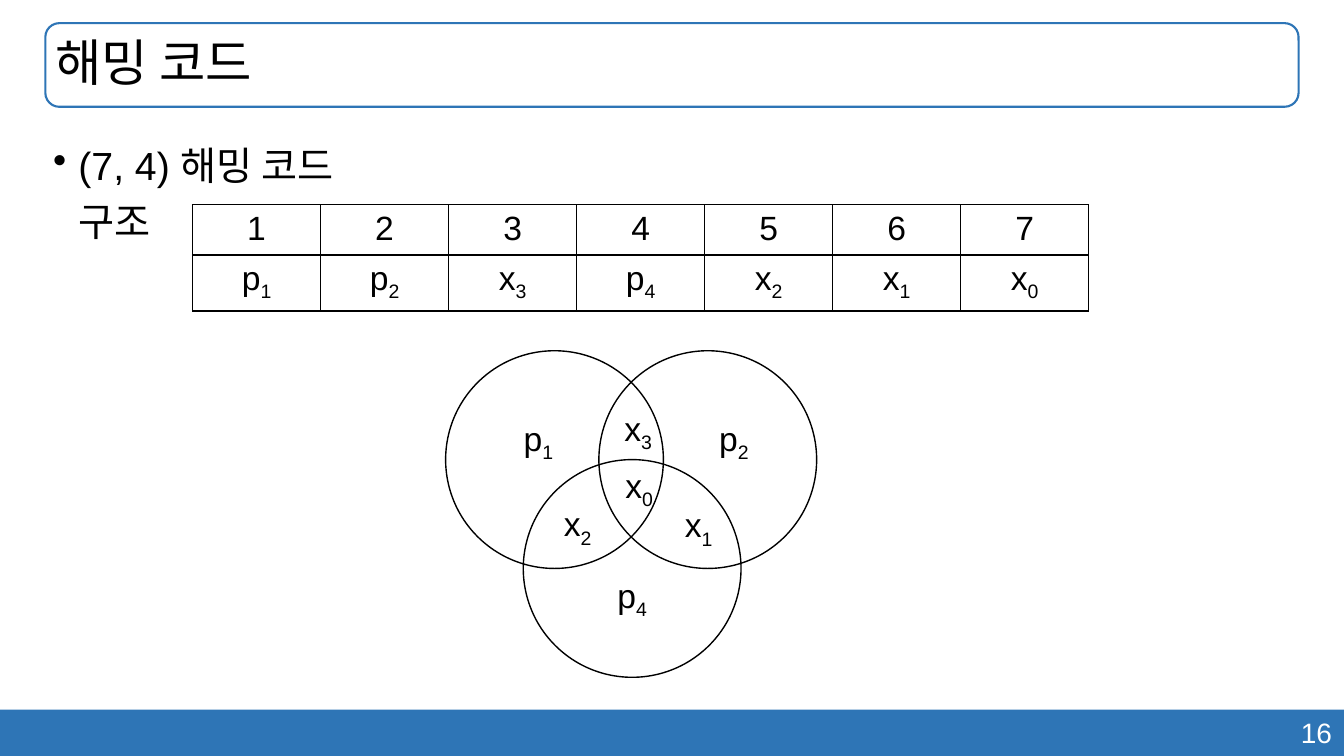
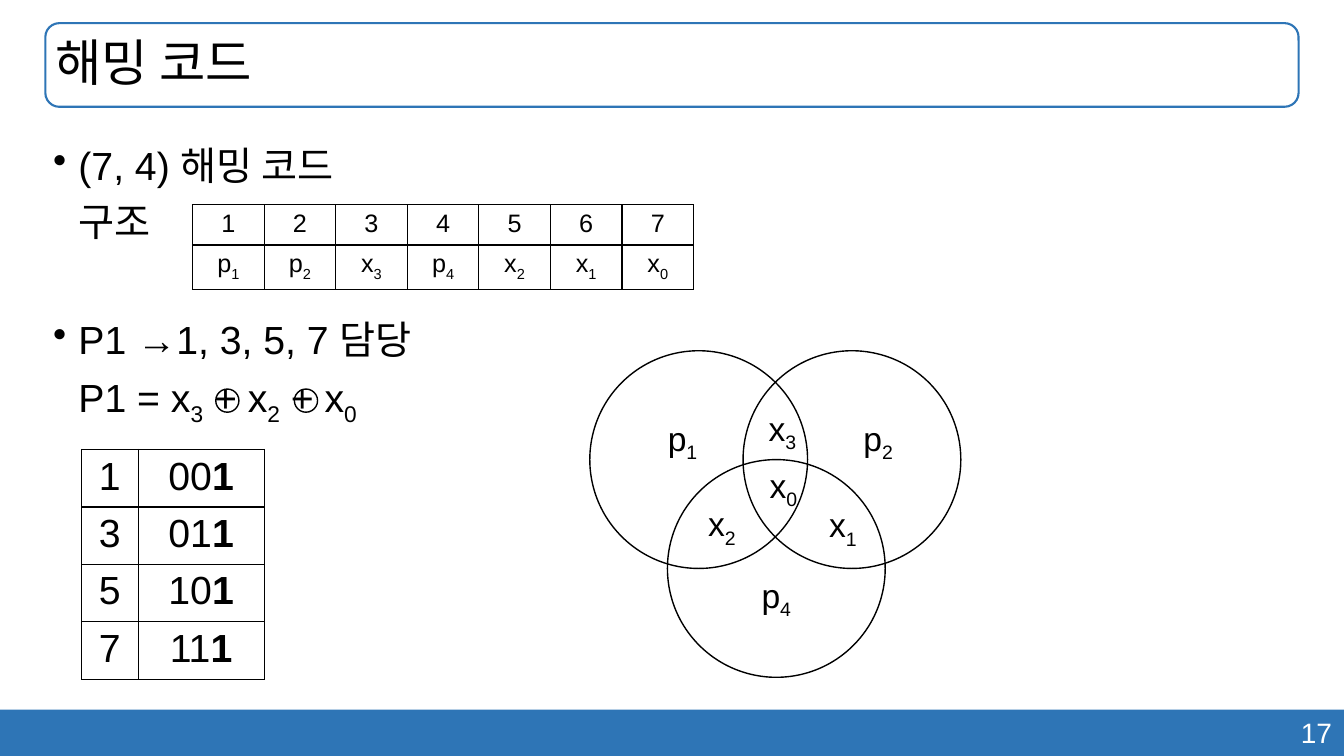
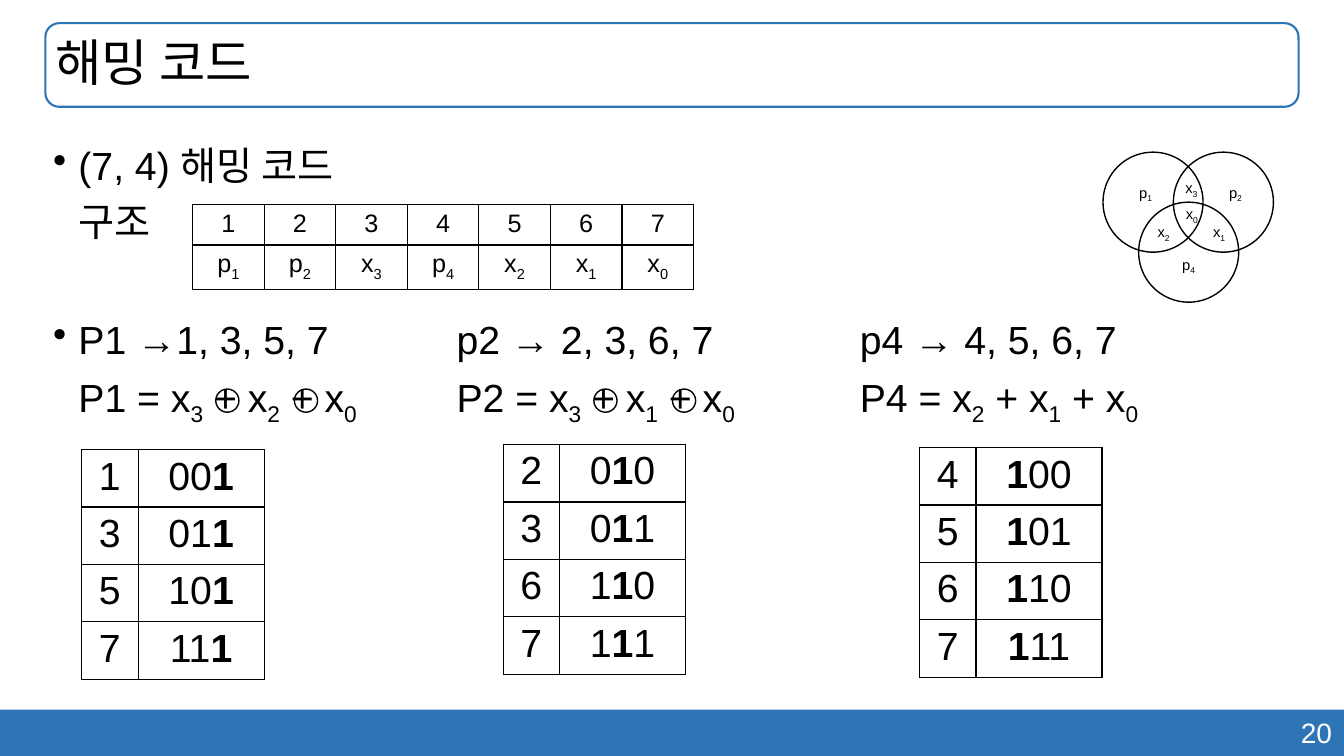
import pptx
import pptx.dml.color
import pptx.enum.shapes
import pptx.enum.text
import pptx.oxml
import pptx.oxml.ns
import pptx.util
from lxml import etree

COLORS = {"band": "2E75B6", "ink": "000000", "paper": "FFFFFF"}
FONT = "Arial"
WIDTH, HEIGHT = 13.33, 7.5
LEFT, COLUMN = 0.43, 4          # body grid
INSET, HANG = 0.1, 0.25         # text box margin and bullet indent
STRUCTURE_TOP, PARITY_TOP = 1.26, 2.99

ALIGN = pptx.enum.text.PP_ALIGN
ANCHOR = pptx.enum.text.MSO_ANCHOR
SHAPE = pptx.enum.shapes.MSO_SHAPE

POSITIONS = ["1", "2", "3", "4", "5", "6", "7"]
BITS = ["p_1", "p_2", "x_3", "p_4", "x_2", "x_1", "x_0"]

# Venn diagram, measured on a field 3.68 wide
VENN_WIDTH, VENN_CIRCLE = 3.68, 2.16
VENN_CORNERS = [(0.77, 1.08), (1.52, 0), (0, 0)]
VENN_LABELS = {
    "p_1": (0.92, 0.89), "p_2": (2.86, 0.89), "p_4": (1.85, 2.45),
    "x_2": (1.31, 1.74), "x_3": (1.91, 0.79), "x_1": (2.51, 1.75),
    "x_0": (1.92, 1.36),
}

# Positions covered by each parity bit, the checked digit in bold
P1_ROWS = [("1", "00*1*"), ("3", "01*1*"), ("5", "10*1*"), ("7", "11*1*")]
P2_ROWS = [("2", "0*1*0"), ("3", "0*1*1"), ("6", "1*1*0"), ("7", "1*1*1")]
P4_ROWS = [("4", "*1*00"), ("5", "*1*01"), ("6", "*1*10"), ("7", "*1*11")]
P1_FORMULA = "P1 = x_3 + x_2 + x_0"


def rgb(name):
    return pptx.dml.color.RGBColor.from_string(COLORS[name])


def inches(*lengths):
    return [pptx.util.Inches(length) for length in lengths]


def write(frame, text, size=28, color="ink", align=ALIGN.LEFT, spacing=None,
          anchor=None, bullet=False, wrap=True):
    """Fill a frame; _ lowers the next character, *...* is bold."""
    paragraph = frame.paragraphs[0]
    if bullet:
        properties = paragraph._p.get_or_add_pPr()
        properties.set("marL", str(pptx.util.Inches(HANG)))
        properties.set("indent", str(-pptx.util.Inches(HANG)))
        mark = etree.SubElement(properties, pptx.oxml.ns.qn("a:buChar"))
        mark.set("char", "•")
    paragraph.alignment = align
    if spacing:
        paragraph.line_spacing = spacing
    frame.word_wrap = wrap
    if anchor is not None:
        frame.vertical_anchor = anchor

    def add_run(content, bold, lowered):
        if not content:
            return
        run = paragraph.add_run()
        run.text = content
        run.font.name = FONT
        run.font.size = pptx.util.Pt(size)
        run.font.bold = bold
        run.font.color.rgb = rgb(color)
        if lowered:
            run._r.get_or_add_rPr().set("baseline", "-25000")

    for number, line in enumerate(text.split("\n")):
        if number:
            paragraph.add_line_break()
        for order, piece in enumerate(line.split("*")):
            bold = order % 2 == 1
            plain, *lowered_parts = piece.split("_")
            add_run(plain, bold, False)
            for part in lowered_parts:
                add_run(part[0], bold, True)
                add_run(part[1:], bold, False)


def add_text(slide, text, box, **style):
    label = slide.shapes.add_textbox(*inches(*box))
    write(label.text_frame, text, **style)


def add_outline(slide, kind, box, line="ink", weight=1, fill=None):
    outline = slide.shapes.add_shape(kind, *inches(*box))
    outline.shadow.inherit = False
    if fill:
        outline.fill.solid()
        outline.fill.fore_color.rgb = rgb(fill)
    else:
        outline.fill.background()
    if line:
        outline.line.color.rgb = rgb(line)
        outline.line.width = pptx.util.Pt(weight)
    else:
        outline.line.fill.background()


def add_border(cell):
    properties = cell._tc.get_or_add_tcPr()
    for side in ("lnL", "lnR", "lnT", "lnB"):
        properties.append(pptx.oxml.parse_xml(
            f'<a:{side} {pptx.oxml.ns.nsdecls("a")} w="12700"><a:solidFill>'
            f'<a:srgbClr val="{COLORS["ink"]}"/></a:solidFill></a:{side}>'))


def add_grid(slide, rows, left, top, widths, heights, size):
    """Plain black-lined table with centred text."""
    frame = slide.shapes.add_table(
        len(rows), len(widths),
        *inches(left, top, sum(widths), sum(heights)))
    table = frame.table
    table.first_row = table.horz_banding = False
    for column, width in zip(table.columns, widths):
        column.width = pptx.util.Inches(width)
    for row, height in zip(table.rows, heights):
        row.height = pptx.util.Inches(height)
    for row, texts in zip(table.rows, rows):
        for cell, text in zip(row.cells, texts):
            add_border(cell)
            cell.fill.background()
            write(cell.text_frame, text, size=size, align=ALIGN.CENTER)


def add_page(deck, number):
    """Slide with title frame, bottom band and page number."""
    slide = deck.slides.add_slide(deck.slide_layouts[5])
    title_box = (0.45, 0.23, 12.43, 0.83)
    add_outline(slide, SHAPE.ROUNDED_RECTANGLE, title_box, "band", 1.5)
    title = slide.shapes.title
    title.left, title.top, title.width, title.height = inches(*title_box)
    write(title.text_frame, "해밍 코드", size=36, spacing=0.9,
          anchor=ANCHOR.MIDDLE)
    title.text_frame.auto_size = pptx.enum.text.MSO_AUTO_SIZE.NONE
    add_outline(slide, SHAPE.RECTANGLE, (0, 7.04, WIDTH, HEIGHT - 7.04),
                line=None, fill="band")
    add_text(slide, str(number), (9.41, 7.05, 3.9, 0.44), size=20,
             color="paper", align=ALIGN.RIGHT)
    return slide


def add_structure(slide, cell_width, heights, size):
    """Heading of the code and the table of its seven positions."""
    add_text(slide, "(7, 4) 해밍 코드\n구조",
             (LEFT, STRUCTURE_TOP, COLUMN, 1.3), spacing=1.2, bullet=True)
    add_grid(slide, [POSITIONS, BITS], 1.91, 2.03,
             [cell_width] * len(BITS), heights, size)


def add_venn(slide, left, top, width, size):
    """Three overlapping circles with the bits in their regions."""
    scale = width / VENN_WIDTH
    circle = VENN_CIRCLE * scale
    for x, y in VENN_CORNERS:
        add_outline(slide, SHAPE.OVAL,
                    (left + x * scale, top + y * scale, circle, circle))
    label_width, label_height = 0.5, size / 60 + INSET
    for bit, (x, y) in VENN_LABELS.items():
        add_text(slide, bit,
                 (left + x * scale - label_width / 2,
                  top + y * scale - label_height / 2,
                  label_width, label_height),
                 size=size, align=ALIGN.CENTER, anchor=ANCHOR.MIDDLE,
                 wrap=False)


def add_parity(slide, column, formula, rows, table_left, table_top,
               circled=True):
    """One column: parity formula above the table of its positions."""
    left = LEFT + column * COLUMN
    bullet = column == 0
    add_text(slide, formula, (left, PARITY_TOP, COLUMN, 1.3),
             spacing=1.2, bullet=bullet)
    if circled:
        text_left = left + INSET + (HANG if bullet else 0)
        for step in range(2):
            add_outline(slide, SHAPE.OVAL,
                        (text_left + 1.36 + step * 0.78, 3.86, 0.23, 0.23))
    add_grid(slide, rows, table_left, table_top, [0.56, 1.25],
             [0.57] * len(rows), 28)


def main():
    deck = pptx.Presentation()
    deck.slide_width, deck.slide_height = inches(WIDTH, HEIGHT)

    # Structure of the code
    structure = add_page(deck, 16)
    add_structure(structure, 1.27, [0.48, 0.52], 24)
    add_venn(structure, 4.42, 3.48, VENN_WIDTH, 24)

    # First parity bit
    first_parity = add_page(deck, 17)
    add_structure(first_parity, 0.71, [0.38, 0.42], 18)
    add_venn(first_parity, 5.85, 3.48, VENN_WIDTH, 24)
    add_parity(first_parity, 0, "P1 →1, 3, 5, 7 담당\n" + P1_FORMULA,
               P1_ROWS, 0.81, 4.46)

    # All parity bits
    all_parity = add_page(deck, 20)
    add_structure(all_parity, 0.71, [0.38, 0.42], 18)
    add_venn(all_parity, 10.94, 1.51, 1.69, 10.5)
    add_parity(all_parity, 0, "P1 →1, 3, 5, 7\n" + P1_FORMULA,
               P1_ROWS, 0.81, 4.46)
    add_parity(all_parity, 1, "p2 → 2, 3, 6, 7\nP2 = x_3 + x_1 + x_0",
               P2_ROWS, 4.99, 4.41)
    add_parity(all_parity, 2, "p4 → 4, 5, 6, 7\nP4 = x_2 + x_1 + x_0",
               P4_ROWS, 9.12, 4.44, circled=False)

    deck.save("out.pptx")


if __name__ == "__main__":
    main()
